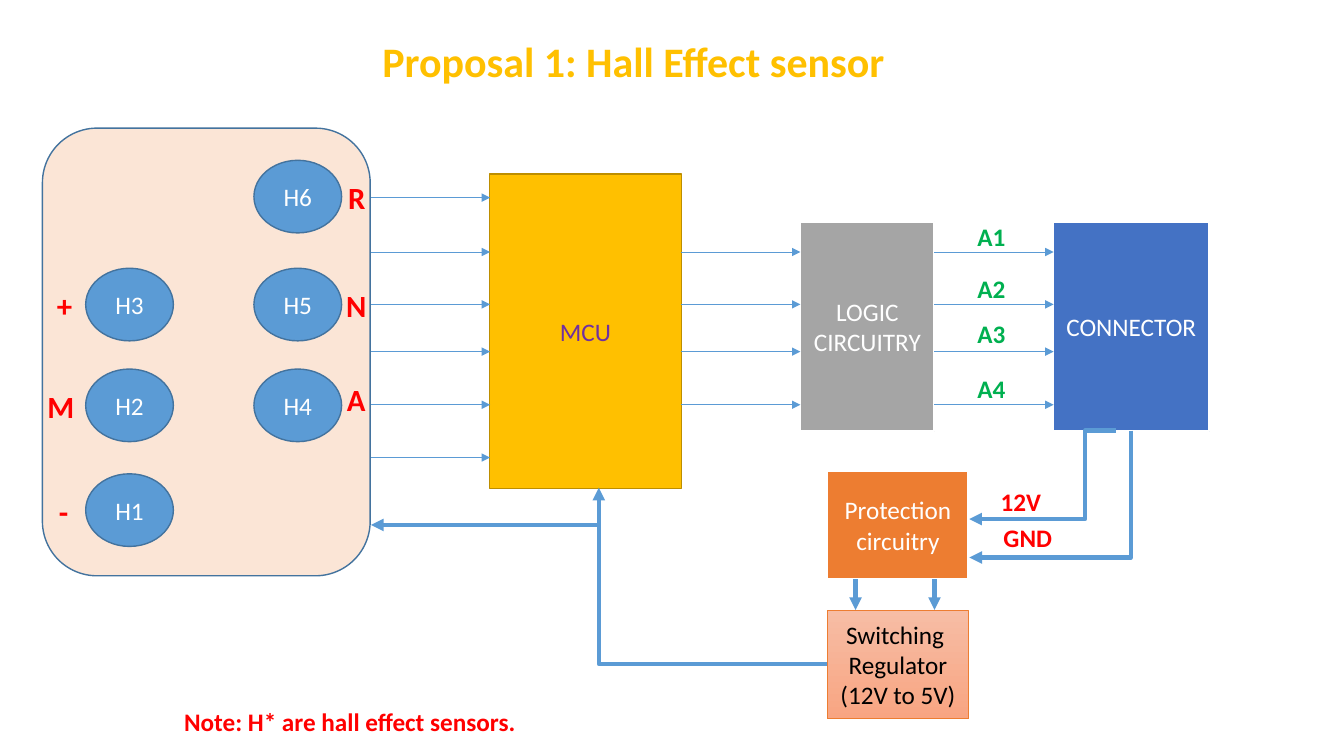
from dataclasses import dataclass
from typing import Optional

from lxml.etree import SubElement
from pptx import Presentation
from pptx.dml.color import RGBColor
from pptx.enum.shapes import MSO_CONNECTOR, MSO_SHAPE
from pptx.enum.text import MSO_ANCHOR, MSO_AUTO_SIZE, PP_ALIGN
from pptx.oxml.ns import qn
from pptx.util import Cm, Pt

COLORS = {
    "white": "FFFFFF", "black": "000000", "red": "FF0000", "green": "00B050",
    "purple": "7030A0", "gold": "FFC000", "dark_gold": "BD8E00",
    "blue": "5B9BD5", "dark_blue": "43739E", "royal": "4472C4",
    "gray": "A5A5A5", "orange": "ED7D31", "peach": "FBE5D6",
    "salmon_top": "F7BDA5", "salmon_bottom": "F8A582",
}


@dataclass
class Box:
    text: str
    x: float
    y: float
    w: float
    h: float
    fill: str
    line: str = "white"
    line_width: float = 1.5
    color: str = "white"
    shape: MSO_SHAPE = MSO_SHAPE.RECTANGLE
    fill_end: Optional[str] = None


@dataclass
class Label:
    text: str
    x: float
    y: float
    w: float
    color: str = "red"
    h: float = 1.02
    size: float = 18
    align: PP_ALIGN = PP_ALIGN.LEFT
    outline: Optional[str] = None


@dataclass
class Arrow:
    x1: float
    y1: float
    x2: float
    y2: float
    width: float = 3
    kind: MSO_CONNECTOR = MSO_CONNECTOR.STRAIGHT
    bend: Optional[int] = None
    corner: bool = False


def rgb(name: str) -> RGBColor:
    return RGBColor.from_string(COLORS[name])


def write(tf, text: str, *, color: str, size: float = 18, bold: bool = False,
          align: PP_ALIGN = PP_ALIGN.CENTER, outline: Optional[str] = None) -> None:
    tf.text = text
    for p in tf.paragraphs:
        p.alignment = align
        for r in p.runs:
            r.font.name = "Calibri"
            r.font.size = Pt(size)
            r.font.bold = bold
            r.font.color.rgb = rgb(color)
            if outline:
                rpr = r.font.fill._xPr
                ln = SubElement(rpr, qn("a:ln"), w=str(Pt(1.06)))
                fill = SubElement(ln, qn("a:solidFill"))
                SubElement(fill, qn("a:srgbClr"), val=COLORS[outline])
                rpr.insert(0, ln)


def add_box(s, box: Box) -> None:
    sp = s.shapes.add_shape(box.shape, Cm(box.x), Cm(box.y), Cm(box.w), Cm(box.h))
    sp.shadow.inherit = False
    if box.fill_end:
        sp.fill.gradient()
        sp.fill.gradient_angle = 270
        for stop, name in zip(sp.fill.gradient_stops, (box.fill, box.fill_end)):
            stop.color.rgb = rgb(name)
    else:
        sp.fill.solid()
        sp.fill.fore_color.rgb = rgb(box.fill)
    sp.line.color.rgb = rgb(box.line)
    sp.line.width = Pt(box.line_width)
    if box.text:
        tf = sp.text_frame
        tf.word_wrap = True
        tf.vertical_anchor = MSO_ANCHOR.MIDDLE
        write(tf, box.text, color=box.color)


def fill_label(sp, label: Label) -> None:
    sp.left, sp.top = Cm(label.x), Cm(label.y)
    sp.width, sp.height = Cm(label.w), Cm(label.h)
    tf = sp.text_frame
    tf.word_wrap = False
    tf.auto_size = MSO_AUTO_SIZE.SHAPE_TO_FIT_TEXT
    tf.vertical_anchor = MSO_ANCHOR.TOP
    write(tf, label.text, color=label.color, size=label.size, bold=True,
          align=label.align, outline=label.outline)


def add_label(s, label: Label) -> None:
    fill_label(s.shapes.add_textbox(0, 0, 0, 0), label)


def add_arrow(s, a: Arrow) -> None:
    x1, y1, x2, y2 = a.x1, a.y1, a.x2, a.y2
    if a.corner:
        cx, cy = (x1 + x2) / 2, (y1 + y2) / 2
        dx, dy = abs(y2 - y1) / 2, abs(x2 - x1) / 2
        x1, y1, x2, y2 = cx - dx, cy - dy, cx + dx, cy + dy
    c = s.shapes.add_connector(a.kind, Cm(x1), Cm(y1), Cm(x2), Cm(y2))
    c.line.color.rgb = rgb("blue")
    c.line.width = Pt(a.width)
    sppr = c._element.spPr
    SubElement(sppr.find(qn("a:ln")), qn("a:tailEnd"), type="triangle")
    SubElement(sppr, qn("a:effectLst"))
    geom = sppr.find(qn("a:prstGeom"))
    if a.corner:
        geom.set("prst", "bentConnector2")
        sppr.find(qn("a:xfrm")).set("rot", str(90 * 60000))
    if a.bend is not None:
        SubElement(geom.find(qn("a:avLst")), qn("a:gd"), name="adj1", fmla=f"val {a.bend}")


LEFT_COL, RIGHT_COL = 2.16, 6.4
SENSORS = [
    ("H4", RIGHT_COL, 9.3), ("H5", RIGHT_COL, 6.76), ("H6", RIGHT_COL, 4.04),
    ("H2", LEFT_COL, 9.3), ("H3", LEFT_COL, 6.76), ("H1", LEFT_COL, 11.94),
]
GEARS = [
    ("R", 8.51, 4.39, 0.97), ("N", 8.46, 7.11, 1.04), ("A", 8.48, 9.47, 0.99),
    ("M", 0.94, 9.65, 1.19), ("+", 1.17, 7.11, 0.91), ("-", 1.22, 12.29, 0.76),
]
SIGNAL_YS = [4.98, 6.35, 7.67, 8.86, 10.2, 11.53]
BUSES = [(9.35, SIGNAL_YS), (17.17, SIGNAL_YS[1:5]), (23.55, SIGNAL_YS[1:5])]
BUS_LENGTH = 3

BOXES = [
    Box("", 1.07, 3.23, 8.26, 11.28, "peach", "dark_blue", 1,
        shape=MSO_SHAPE.ROUNDED_RECTANGLE),
    *(Box(text, x, y, 2.21, 1.83, "blue", "dark_blue", 1, shape=MSO_SHAPE.OVAL)
      for text, x, y in SENSORS),
    Box("MCU", 12.34, 4.39, 4.83, 7.92, "gold", "dark_gold", 1, "purple"),
    Box("LOGIC\nCIRCUITRY", 20.17, 5.59, 3.38, 5.28, "gray"),
    Box("CONNECTOR", 26.54, 5.59, 3.94, 5.28, "royal"),
    Box("Protection circuitry", 20.85, 11.86, 3.56, 2.74, "orange"),
    Box("Switching \nRegulator\v(12V to 5V)", 20.85, 15.37, 3.56, 2.74, "salmon_top",
        "orange", 0.5, "black", fill_end="salmon_bottom"),
]
ARROWS = [
    *(Arrow(x, y, x + BUS_LENGTH, y, 0.5) for x, ys in BUSES for y in ys),
    Arrow(28.12, 10.85, 24.43, 13.08, kind=MSO_CONNECTOR.ELBOW, bend=20900),
    Arrow(28.5, 10.85, 24.43, 14.05, kind=MSO_CONNECTOR.ELBOW, corner=True),
    *(Arrow(x, 14.6, x, 15.37) for x in (21.56, 23.55)),
    Arrow(20.85, 16.74, 9.35, 13.23, kind=MSO_CONNECTOR.ELBOW),
    Arrow(15.09, 13.49, 15.09, 12.29),
]
LABELS = [
    *(Label(text, x, y, w, h=1.19, size=22, align=PP_ALIGN.CENTER, outline="white")
      for text, x, y, w in GEARS),
    *(Label(f"A{n}", 24.38, y, 1.22, "green")
      for n, y in enumerate((5.44, 6.76, 7.9, 9.27), 1)),
    Label("12V", 24.97, 12.14, 1.55),
    Label("GND", 25.04, 13.03, 1.75),
    Label("Note: H* are hall effect sensors.", 4.39, 17.68, 8.97),
]
TITLE = Label("Proposal 1: Hall Effect sensor", 9.3, 0.76, 13.34, "gold", 1.55, 30,
              PP_ALIGN.CENTER)


def main() -> None:
    prs = Presentation()
    prs.slide_width, prs.slide_height = Cm(33.87), Cm(19.05)
    s = prs.slides.add_slide(prs.slide_layouts[5])
    fill_label(s.shapes.title, TITLE)
    for box in BOXES:
        add_box(s, box)
    for arrow in ARROWS:
        add_arrow(s, arrow)
    for label in LABELS:
        add_label(s, label)
    prs.save("out.pptx")


if __name__ == "__main__":
    main()
